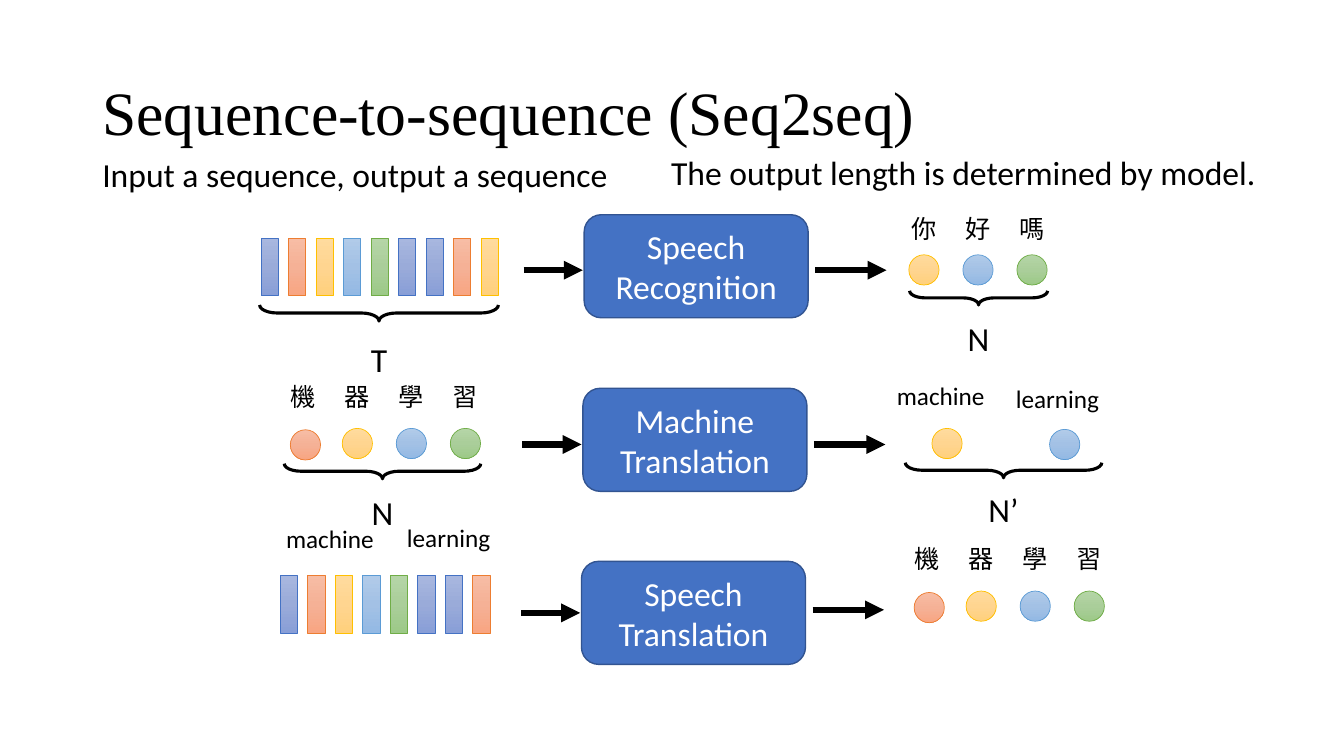
import copy

import lxml.etree
import pptx
import pptx.dml.color
import pptx.enum.shapes
import pptx.enum.text
import pptx.oxml.ns
import pptx.util

Pt = pptx.util.Pt
qn = pptx.oxml.ns.qn
SHAPE = pptx.enum.shapes.MSO_SHAPE
ALIGN = pptx.enum.text.PP_ALIGN

COLORS = {"black": "000000", "white": "FFFFFF", "model": "4472C4", "model edge": "325491"}
# Each tint: outline, then gradient from top to bottom
TINTS = {
    "indigo": ("4472C4", "A8B7DF", "9AABD9", "889ED7"),
    "orange": ("ED7D31", "F7BDA5", "F5B196", "F8A582"),
    "yellow": ("FFC000", "FFDB9E", "FFD590", "FFD07C"),
    "blue": ("5B9BD5", "B1CBE9", "A3C1E5", "93B9E4"),
    "green": ("70AD47", "B5D5A7", "AACE9A", "9CC987"),
}
SPEECH = ["indigo", "orange", "yellow", "blue", "green", "indigo", "indigo", "orange", "yellow"]
PITCH = 38.6
DOT = 21.6


def rgb(value):
    return pptx.dml.color.RGBColor.from_string(value)


class SequenceSlide:
    body_font = "Calibri"
    title_font = "Times New Roman"

    def __init__(self, deck):
        self.slide = deck.slides.add_slide(deck.slide_layouts[5])
        self.shapes = self.slide.shapes

    def put_run(self, paragraph, text, size, color="black", font=None, align=ALIGN.CENTER):
        paragraph.alignment = align
        run = paragraph.add_run()
        run.text = text
        run.font.size = Pt(size)
        run.font.name = font or self.body_font
        run.font.color.rgb = rgb(COLORS[color])

    def title(self, text, left, top, width, height):
        heading = self.shapes.title
        heading.left, heading.top = Pt(left), Pt(top)
        heading.width, heading.height = Pt(width), Pt(height)
        frame = heading.text_frame
        frame.auto_size = pptx.enum.text.MSO_AUTO_SIZE.NONE
        frame.vertical_anchor = pptx.enum.text.MSO_ANCHOR.MIDDLE
        frame.paragraphs[0].line_spacing = 0.9
        self.put_run(frame.paragraphs[0], text, 44, font=self.title_font, align=ALIGN.LEFT)

    def text(self, text, left, top, width, size=24, align=ALIGN.LEFT):
        box = self.shapes.add_textbox(Pt(left), Pt(top), Pt(width), Pt(size * 1.2 + 7.2))
        box.text_frame.word_wrap = True
        box.text_frame.auto_size = pptx.enum.text.MSO_AUTO_SIZE.SHAPE_TO_FIT_TEXT
        self.put_run(box.text_frame.paragraphs[0], text, size, align=align)

    def label(self, text, center, top, width=44, size=18):
        self.text(text, center - width / 2, top, width, size, ALIGN.CENTER)

    def tinted(self, shapes, kind, tint, left, top, width, height):
        token = shapes.add_shape(kind, Pt(left), Pt(top), Pt(width), Pt(height))
        token.shadow.inherit = False
        edge, *tones = TINTS[tint]
        token.line.color.rgb = rgb(edge)
        token.line.width = Pt(0.5)
        token.fill.gradient()
        token.fill.gradient_angle = 270
        stop_list = token._element.spPr.find(".//" + qn("a:gsLst"))
        stop_list.insert(1, copy.deepcopy(stop_list[0]))
        for stop, tone, position in zip(token.fill.gradient_stops, tones, (0, 0.5, 1)):
            stop.color.rgb = rgb(tone)
            stop.position = position

    def dot(self, tint, center, top):
        self.tinted(self.shapes, SHAPE.OVAL, tint, center - DOT / 2, top, DOT, DOT)

    def frames(self, tints, left, top):
        group = self.shapes.add_group_shape()
        for i, tint in enumerate(tints):
            self.tinted(group.shapes, SHAPE.RECTANGLE, tint, left + 19.65 * i, top, 12.24, 41.3)

    def characters(self, text, center, top):
        for i, character in enumerate(text):
            self.label(character, center + PITCH * i, top)

    def learning_sentence(self, center, label_top, dot_top):
        self.characters("機器學習", center, label_top)
        self.dot("orange", center + 1.8, dot_top + 1)
        for i, tint in enumerate(("yellow", "blue", "green"), 1):
            self.dot(tint, center + 0.3 + PITCH * i, dot_top)

    def brace(self, name, center, middle, length, depth, name_top):
        # The brace is drawn upright and turned to point down
        brace = self.shapes.add_shape(SHAPE.RIGHT_BRACE, Pt(center - depth / 2),
                                      Pt(middle - length / 2), Pt(depth), Pt(length))
        brace.rotation = 90
        brace.adjustments[0], brace.adjustments[1] = 1.1, 0.5
        brace.shadow.inherit = False
        brace.fill.background()
        brace.line.color.rgb = rgb(COLORS["black"])
        brace.line.width = Pt(2.25)
        self.label(name, center, name_top, 70, 24)

    def arrow(self, start, end, y):
        arrow = self.shapes.add_connector(pptx.enum.shapes.MSO_CONNECTOR.STRAIGHT,
                                          Pt(start), Pt(y), Pt(end), Pt(y))
        arrow.line.color.rgb = rgb(COLORS["black"])
        arrow.line.width = Pt(4.5)
        properties = arrow._element.spPr
        lxml.etree.SubElement(properties.find(qn("a:ln")), qn("a:tailEnd"), type="triangle")
        lxml.etree.SubElement(properties, qn("a:effectLst"))

    def model(self, words, left, top, input_y, output_y):
        model = self.shapes.add_shape(SHAPE.ROUNDED_RECTANGLE, Pt(left), Pt(top),
                                      Pt(160), Pt(73.6))
        model.shadow.inherit = False
        model.fill.solid()
        model.fill.fore_color.rgb = rgb(COLORS["model"])
        model.line.color.rgb = rgb(COLORS["model edge"])
        model.line.width = Pt(1)
        frame = model.text_frame
        frame.vertical_anchor = pptx.enum.text.MSO_ANCHOR.MIDDLE
        for i, word in enumerate(words):
            paragraph = frame.add_paragraph() if i else frame.paragraphs[0]
            self.put_run(paragraph, word, 24, "white")
        self.arrow(left - 43.2, left - 1, input_y)
        self.arrow(left + 165, left + 216, output_y)


def main():
    deck = pptx.Presentation()
    deck.slide_width, deck.slide_height = Pt(960), Pt(540)
    page = SequenceSlide(deck)

    # Heading
    page.title("Sequence-to-sequence (Seq2seq)", 66, 30, 828, 104.4)
    page.text("Input a sequence, output a sequence", 66, 106.6, 459)
    page.text("The output length is determined by model.", 472.3, 105.1, 509)

    # Speech recognition: T frames in, N characters out
    page.frames(SPEECH, 186.5, 170)
    page.brace("T", 270.7, 223.6, 170.6, 11.5, 238.3)
    page.model(("Speech", "Recognition"), 417.3, 153.4, 193, 193)
    page.characters("你好嗎", 660, 149)
    for i, tint in enumerate(("yellow", "blue", "green")):
        page.dot(tint, 660 + PITCH * i, 182)
    page.brace("N", 699, 212.8, 98.6, 10.1, 223.2)

    # Machine translation: N characters in, N’ words out
    page.learning_sentence(216.4, 268.6, 306)
    page.brace("N", 273.2, 336.6, 140.4, 10.8, 347.8)
    page.model(("Machine", "Translation"), 416.4, 277.4, 317.5, 317.5)
    page.label("machine", 671.9, 267.8, 110)
    page.label("learning", 755.3, 270, 110)
    page.dot("yellow", 676.5, 306)
    page.dot("blue", 760.5, 306.7)
    page.brace("N’", 716.8, 335.9, 140.4, 10.8, 345.6)

    # Speech translation: frames in, characters out
    page.label("machine", 235.6, 370.1, 110)
    page.label("learning", 320.4, 369.4, 110)
    page.frames(SPEECH[:8], 200.2, 411)
    page.model(("Speech", "Translation"), 415.4, 401, 437.8, 435.6)
    page.learning_sentence(662, 384.5, 422.2)

    deck.save("out.pptx")


if __name__ == "__main__":
    main()
